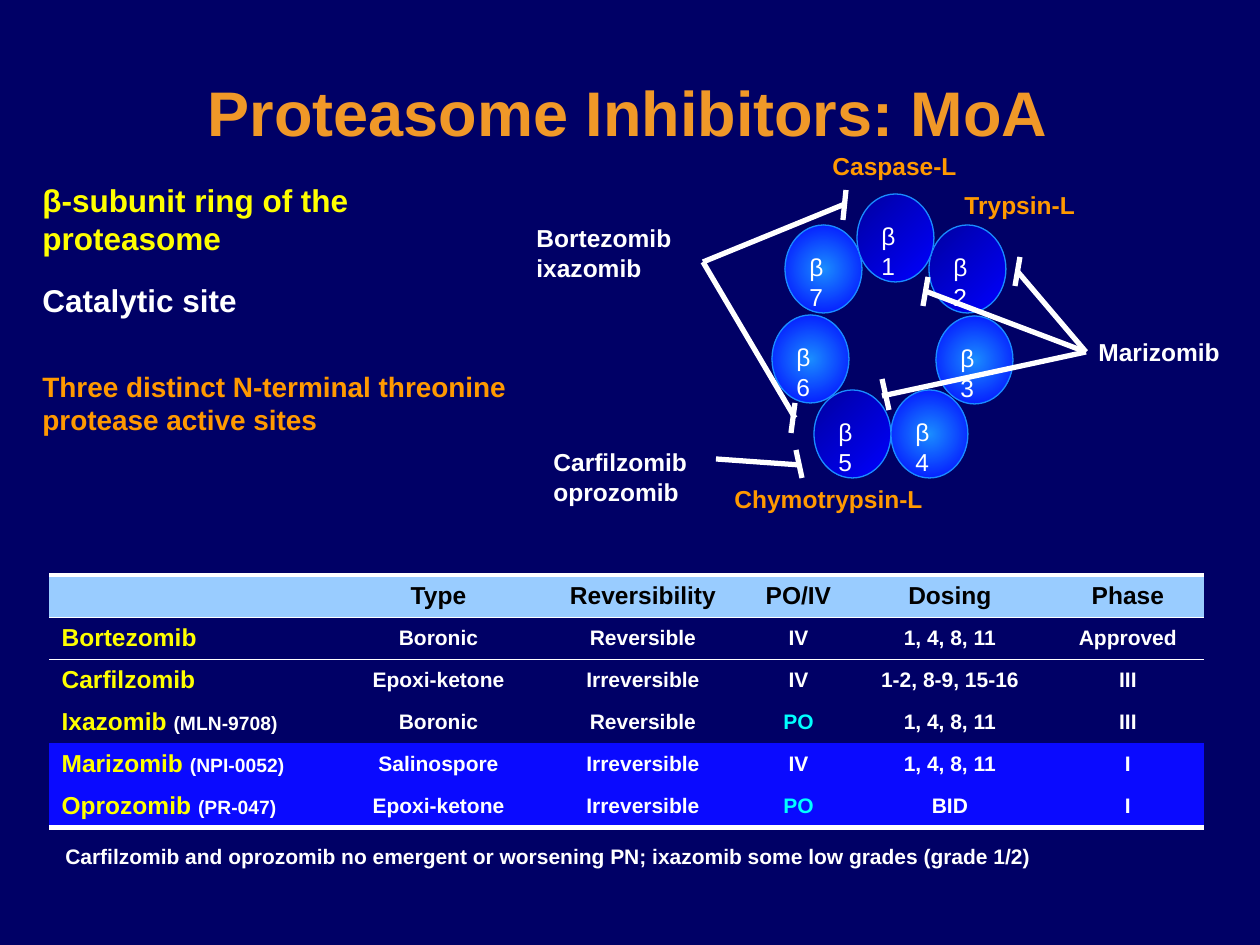
import pptx
import pptx.dml.color
import pptx.enum.shapes
import pptx.enum.text
import pptx.oxml
import pptx.oxml.ns
import pptx.util
from lxml import etree

RGB = pptx.dml.color.RGBColor
NAVY = RGB(0x00, 0x00, 0x66)
AMBER = RGB(0xF0, 0x98, 0x28)
ORANGE = RGB(0xFF, 0x99, 0x00)
YELLOW = RGB(0xFF, 0xFF, 0x00)
WHITE = RGB(0xFF, 0xFF, 0xFF)
BLACK = RGB(0x00, 0x00, 0x00)
CYAN = RGB(0x00, 0xFF, 0xFF)
PALE_BLUE = RGB(0x99, 0xCC, 0xFF)
BLUE = RGB(0x0A, 0x0A, 0xFF)
PURE_BLUE = RGB(0x00, 0x00, 0xFF)
DEEP_BLUE = RGB(0x00, 0x00, 0xA1)
SKY_BLUE = RGB(0x1A, 0x8D, 0xFF)

EMU_PER_PX = 914400 / 126
NO_TABLE_STYLE = "{2D5ABB26-0587-4C30-8999-92F81FD0307C}"
ALIGN = pptx.enum.text.PP_ALIGN
ANCHOR = pptx.enum.text.MSO_ANCHOR
qn = pptx.oxml.ns.qn

ACTIVE = ((PURE_BLUE, DEEP_BLUE), (100, 100, 0, 0))
INACTIVE = ((SKY_BLUE, PURE_BLUE), (50, 50, 50, 50))
SUBUNITS = [
    ("β5", 814, 390, ACTIVE), ("β2", 929, 225, ACTIVE), ("β7", 785, 225, INACTIVE),
    ("β1", 857, 194, ACTIVE), ("β6", 772, 315, INACTIVE), ("β4", 891, 390, INACTIVE),
    ("β3", 936, 316, INACTIVE),
]
STATEMENTS = [
    ("β-subunit ring of the proteasome", 30, 175, 474, 89, 18, YELLOW),
    ("Three distinct N-terminal threonine protease active sites", 30, 363, 507, 81, 16, ORANGE),
    ("Catalytic site", 30, 275, 278, 50, 18, WHITE),
    ("Caspase-L", 820, 145, 180, 43, 14, ORANGE),
    ("Trypsin-L", 952, 184, 142, 43, 14, ORANGE),
    ("Chymotrypsin-L", 722, 478, 231, 43, 14, ORANGE),
    ("Carfilzomib\noprozomib", 541, 441, 171, 72, 14, WHITE),
    ("Bortezomib\nixazomib", 524, 217, 171, 72, 14, WHITE),
    ("Marizomib", 1086, 331, 157, 43, 14, WHITE),
    ("Carfilzomib and oprozomib no emergent or worsening PN; ixazomib some low grades (grade 1/2)",
     53, 837, 1197, 38, 12, WHITE),
]
BORTEZOMIB, CARFILZOMIB, MARIZOMIB = (703, 262), (716, 459), (1086, 352)
INHIBITIONS = [
    (CARFILZOMIB, (800, 465), (796, 450), (802, 478)),
    (MARIZOMIB, (1018, 272), (1020, 257), (1015, 286)),
    (MARIZOMIB, (882, 396), (882, 379), (889, 410)),
    (MARIZOMIB, (925, 291), (928, 277), (923, 306)),
    (BORTEZOMIB, (845, 204), (846, 190), (843, 220)),
    (BORTEZOMIB, (795, 418), (795, 403), (791, 433)),
]
COLUMN_WIDTHS = [291, 197, 212, 99, 204, 152]
ROW_HEIGHT = 42
ROWS = [
    ["", "Type", "Reversibility", "PO/IV", "Dosing", "Phase"],
    ["Bortezomib", "Boronic", "Reversible", "IV", "1, 4, 8, 11", "Approved"],
    ["Carfilzomib", "Epoxi-ketone", "Irreversible", "IV", "1-2, 8-9, 15-16", "III"],
    ["Ixazomib (MLN-9708)", "Boronic", "Reversible", "PO", "1, 4, 8, 11", "III"],
    ["Marizomib (NPI-0052)", "Salinospore", "Irreversible", "IV", "1, 4, 8, 11", "I"],
    ["Oprozomib (PR-047)", "Epoxi-ketone", "Irreversible", "PO", "BID", "I"],
]
ROW_FILLS = [PALE_BLUE, None, None, None, BLUE, BLUE]
ROW_BORDERS = [{"lnT": 3, "lnB": 1}, {"lnT": 1}, {}, {}, {}, {"lnB": 3}]


def px(*lengths):
    """Turn lengths in px into EMU."""
    return [pptx.util.Emu(round(length * EMU_PER_PX)) for length in lengths]


class SlideBuilder:
    """Hold the style and the current slide, and draw each kind of element."""

    font_name = "Arial"
    line_width = pptx.util.Pt(3)

    def __init__(self, slide):
        self.slide = slide

    def styled_run(self, paragraph, text, size, color, bold=True):
        """Add one formatted run to a paragraph."""
        run = paragraph.add_run()
        run.text = text
        values = {"name": self.font_name, "size": pptx.util.Pt(size), "bold": bold}
        for name, value in values.items():
            setattr(run.font, name, value)
        run.font.color.rgb = color

    def title(self, text, box, size, color):
        """Place and format the title placeholder."""
        title = self.slide.shapes.title
        for name, value in zip(("left", "top", "width", "height"), px(*box)):
            setattr(title, name, value)
        frame = title.text_frame
        frame.auto_size = pptx.enum.text.MSO_AUTO_SIZE.NONE
        frame.vertical_anchor = ANCHOR.TOP
        frame.paragraphs[0].alignment = ALIGN.CENTER
        self.styled_run(frame.paragraphs[0], text, size, color)

    def text(self, text, box, size, color, bold=True):
        """Add a wrapping text box with one paragraph a line."""
        frame = self.slide.shapes.add_textbox(*px(*box)).text_frame
        frame.word_wrap = True
        for index, line in enumerate(text.split("\n")):
            paragraph = frame.add_paragraph() if index else frame.paragraphs[0]
            self.styled_run(paragraph, line, size, color, bold)

    def subunit(self, left, top, colors, focus):
        """Add an ellipse with a radial gradient."""
        shape = self.slide.shapes.add_shape(
            pptx.enum.shapes.MSO_SHAPE.OVAL, *px(left, top, 77, 88))
        shape.shadow.inherit = False
        shape.line.color.rgb = SKY_BLUE
        shape.line.width = pptx.util.Pt(0.75)
        shape.fill.gradient()
        for stop, color in zip(shape.fill.gradient_stops, colors):
            stop.color.rgb = color
        gradient = shape.element.spPr.find(qn("a:gradFill"))
        gradient.remove(gradient.find(qn("a:lin")))
        radial = etree.SubElement(gradient, qn("a:path"), {"path": "circle"})
        edges = {side: str(value * 1000) for side, value in zip("ltrb", focus)}
        etree.SubElement(radial, qn("a:fillToRect"), edges)

    def line(self, start, end):
        """Add a straight white line."""
        connector = self.slide.shapes.add_connector(
            pptx.enum.shapes.MSO_CONNECTOR.STRAIGHT, *px(*start, *end))
        connector.line.color.rgb = WHITE
        connector.line.width = self.line_width
        etree.SubElement(connector.element.spPr, qn("a:effectLst"))

    def inhibition(self, source, target, bar_start, bar_end):
        """Add a line that ends in a blocking bar."""
        self.line(target, source)
        self.line(bar_start, bar_end)

    def border(self, cell, side, width):
        """Add a white border to one side of a cell."""
        properties = cell._tc.get_or_add_tcPr()
        line = etree.SubElement(properties, qn("a:" + side), w=str(pptx.util.Pt(width)))
        fill = etree.SubElement(line, qn("a:solidFill"))
        etree.SubElement(fill, qn("a:srgbClr"), val=str(WHITE))

    def cell(self, cell, text, row, column):
        """Fill and format one table cell."""
        for side, width in ROW_BORDERS[row].items():
            self.border(cell, side, width)
        if ROW_FILLS[row] is None:
            cell.fill.background()
        else:
            cell.fill.solid()
            cell.fill.fore_color.rgb = ROW_FILLS[row]
        cell.vertical_anchor = ANCHOR.MIDDLE
        paragraph = cell.text_frame.paragraphs[0]
        if not text:
            paragraph._p.get_or_add_endParaRPr().set("sz", "1400")
        elif row == 0:
            self.styled_run(paragraph, text, 14, BLACK)
        elif column == 0:
            drug, gap, code = text.partition(" ")
            self.styled_run(paragraph, drug + gap, 14, YELLOW)
            if code:
                self.styled_run(paragraph, code, 11, WHITE)
        else:
            self.styled_run(paragraph, text, 12, CYAN if text == "PO" else WHITE)
        if column:
            paragraph.alignment = ALIGN.CENTER

    def table(self, left, top):
        """Add the table of inhibitors."""
        box = px(left, top, sum(COLUMN_WIDTHS), ROW_HEIGHT * len(ROWS))
        table = self.slide.shapes.add_table(len(ROWS), len(COLUMN_WIDTHS), *box).table
        table.first_row = table.horz_banding = False
        table._tbl.tblPr.find(qn("a:tableStyleId")).text = NO_TABLE_STYLE
        for column, width in zip(table.columns, px(*COLUMN_WIDTHS)):
            column.width = width
        for row, texts in enumerate(ROWS):
            table.rows[row].height = px(ROW_HEIGHT)[0]
            for column, text in enumerate(texts):
                self.cell(table.cell(row, column), text, row, column)


def main():
    """Build the slide and save it."""
    presentation = pptx.Presentation()
    presentation.slide_width, presentation.slide_height = px(1260, 945)
    slide = presentation.slides.add_slide(presentation.slide_layouts[5])
    slide.background.fill.solid()
    slide.background.fill.fore_color.rgb = NAVY
    builder = SlideBuilder(slide)
    builder.title("Proteasome Inhibitors: MoA", (33, 67, 1190, 89), 36, AMBER)
    builder.table(49, 575)
    for name, left, top, (colors, focus) in SUBUNITS:
        builder.subunit(left, top, colors, focus)
    for name, left, top, kind in SUBUNITS:
        builder.text(name, (left + 12, top + 21, 52, 43), 14, WHITE, bold=False)
    for text, left, top, width, height, size, color in STATEMENTS:
        builder.text(text, (left, top, width, height), size, color)
    for inhibition in INHIBITIONS:
        builder.inhibition(*inhibition)
    presentation.save("out.pptx")


if __name__ == "__main__":
    main()
